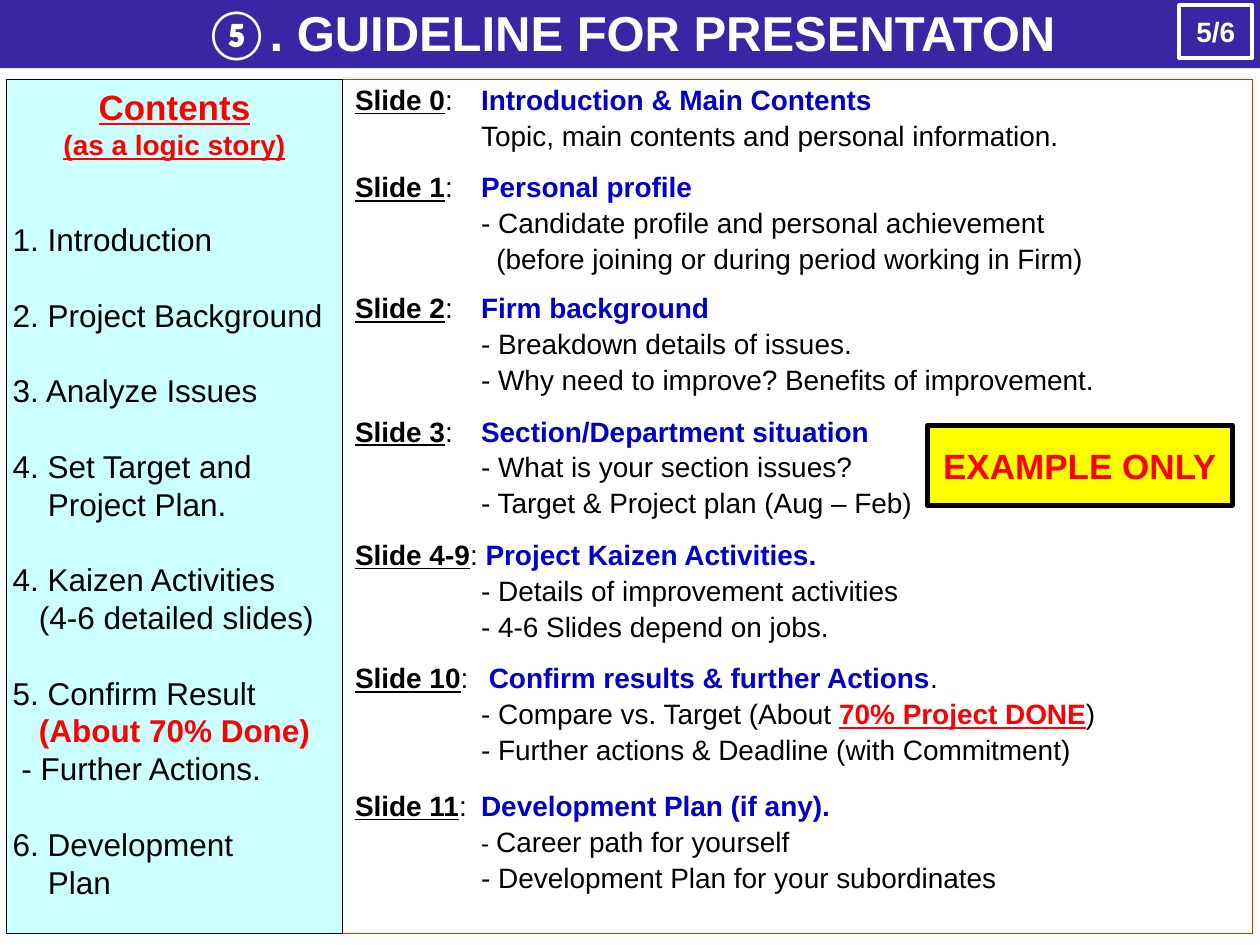
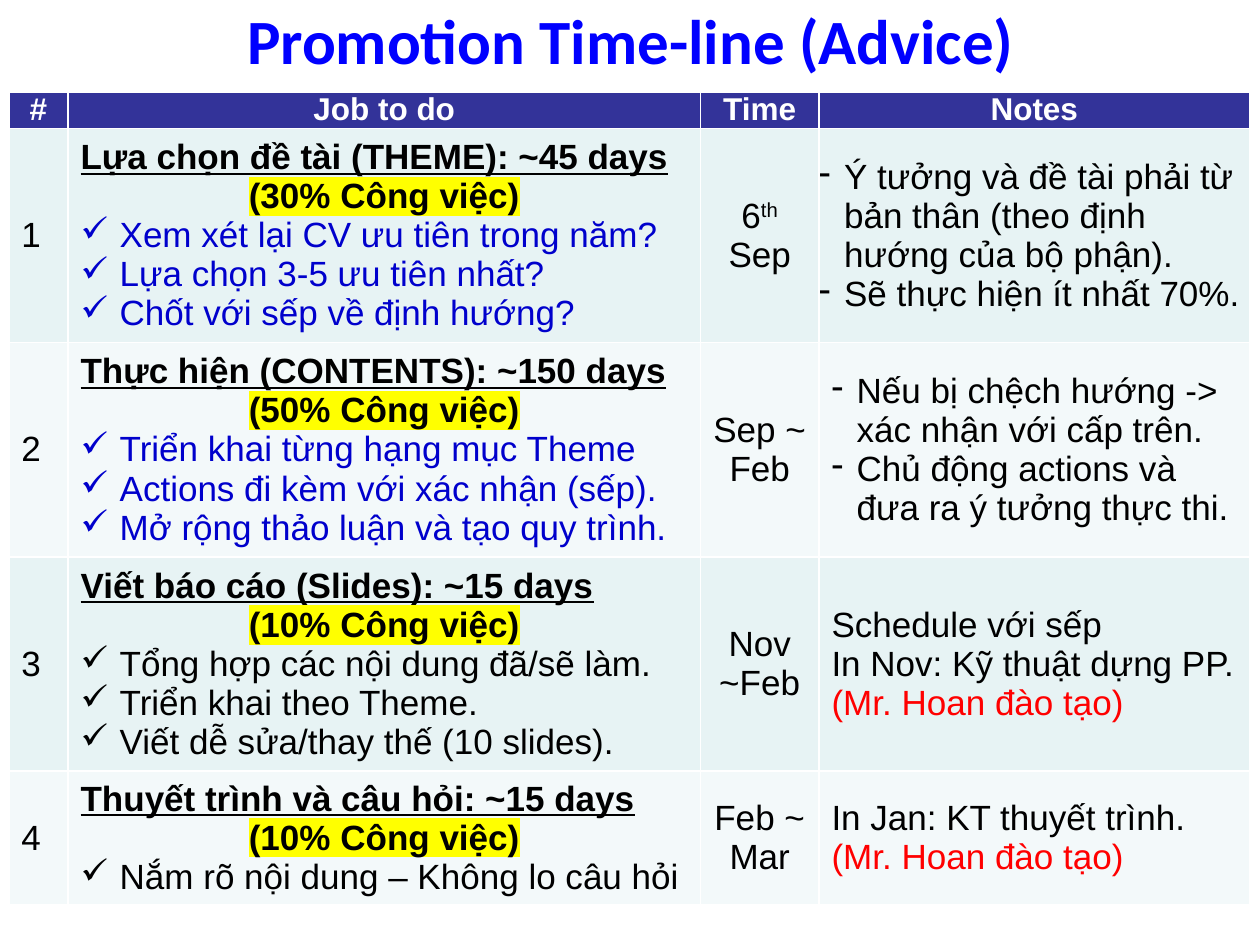
from dataclasses import dataclass
from lxml import etree
from pptx import Presentation
from pptx.dml.color import RGBColor
from pptx.enum.shapes import MSO_SHAPE
from pptx.enum.text import MSO_ANCHOR, MSO_AUTO_SIZE, PP_ALIGN
from pptx.oxml.ns import qn
from pptx.util import Inches, Pt

RECTANGLE = MSO_SHAPE.RECTANGLE
TOP, MIDDLE = MSO_ANCHOR.TOP, MSO_ANCHOR.MIDDLE
LEFT, CENTER = PP_ALIGN.LEFT, PP_ALIGN.CENTER
NO_FIT = MSO_AUTO_SIZE.NONE


@dataclass(frozen=True)
class Style:
    size: float
    color: str = "000000"
    bold: bool = False
    underline: bool = False
    font: str = "Arial"
    highlight: str = ""
    baseline: int = 0


class Theme:
    band, white, black = "3826A4", "FFFFFF", "000000"
    sidebar, frame, stamp = "CCFFFF", "CC3300", "FFFF00"
    header_row, rows = "333399", ("E7F3F4", "F3F9FA")
    line_factor = 1.2
    styles = {
        "band": Style(28, white, True),
        "band number": Style(28, white, True, font="Calibri"),
        "title": Style(36, "0000FF", True, font="Calibri"),
        "page": Style(16, white, True),
        "stamp": Style(20, "FF0000", True),
        "contents": Style(20, "FF0000", True, True),
        "contents note": Style(16, "FF0000", True, True),
        "item": Style(18),
        "item alert": Style(18, "FF0000", True),
        "label": Style(16, bold=True, underline=True),
        "topic": Style(16, "0000CC", True),
        "detail": Style(16),
        "dash": Style(14),
        "detail alert": Style(16, "FF0000", True, True),
        "column": Style(18, white, True),
        "cell": Style(20),
        "superscript": Style(20, baseline=30000),
        "task": Style(20, bold=True, underline=True),
        "share": Style(20, bold=True, highlight="FFFF00"),
        "blue": Style(20, "0000CC"),
        "red": Style(20, "FF0000"),
    }


SIDEBAR_HEADING = [("Contents", "contents"), ("(as a logic story)", "contents note")]
SIDEBAR_ITEMS = [
    [("1. Introduction", "item", 0)],
    [("2. Project Background", "item", 0)],
    [("3. Analyze Issues", "item", 0)],
    [("4. Set Target and", "item", 0), ("Project Plan.", "item", 0.28)],
    [("4. Kaizen Activities", "item", 0), ("(4-6 detailed slides)", "item", 0.21)],
    [("5. Confirm Result", "item", 0), ("(About 70% Done)", "item alert", 0.21),
     ("- Further Actions.", "item", 0.07)],
    [("6. Development", "item", 0), ("Plan", "item", 0.28)],
]

GUIDE = [
    (0, "Slide 0", ":\t", "Introduction & Main Contents", "",
     ["Topic, main contents and personal information."]),
    (12.2, "Slide 1", ":\t", "Personal profile", "",
     ["- Candidate profile and personal achievement",
      "(before joining or during period working in Firm)"]),
    (10.9, "Slide 2", ":\t", "Firm background", "",
     ["- Breakdown details of issues.",
      "- Why need to improve? Benefits of improvement."]),
    (12.2, "Slide 3", ":\t", "Section/Department situation", "",
     ["- What is your section issues?", "- Target & Project plan (Aug – Feb)"]),
    (12.2, "Slide 4-9", ": ", "Project Kaizen Activities.", "",
     ["- Details of improvement activities", "- 4-6 Slides depend on jobs."]),
    (12.2, "Slide 10", ":\t ", "Confirm results & further Actions", ".",
     [[("- Compare vs. Target (About ", "detail"),
       ("70% Project DONE", "detail alert"), (")", "detail")],
      "- Further actions & Deadline (with Commitment)"]),
    (14.7, "Slide 11", ":\t", "Development Plan (if any).", "",
     [[("- ", "dash"), ("Career path for yourself", "detail")],
      "- Development Plan for your subordinates"]),
]

COLUMNS = [("#", 0.47), ("Job to do", 5.02), ("Time", 0.94), ("Notes", 3.42)]
ROW_HEIGHTS = [0.29, 1.7, 1.7, 1.7, 1.06]
TRAINER = ("(Mr. Hoan đào tạo)", "red")
JOBS = [
    {"task": "Lựa chọn đề tài (THEME): ~45 days", "share": "(30% Công việc)",
     "style": "blue",
     "steps": ["Xem xét lại CV ưu tiên trong năm?", "Lựa chọn 3-5 ưu tiên nhất?",
               "Chốt với sếp về định hướng?"],
     "time": [("6", "cell"), ("th", "superscript"), (" Sep", "cell")],
     "bullet": "-", "flush": True,
     "notes": [("Ý tưởng và đề tài phải từ bản thân (theo định hướng của bộ phận).", "cell"),
               ("Sẽ thực hiện ít nhất 70%.", "cell")]},
    {"task": "Thực hiện (CONTENTS): ~150 days", "share": "(50% Công việc)",
     "style": "blue",
     "steps": ["Triển khai từng hạng mục Theme", "Actions đi kèm với xác nhận (sếp).",
               "Mở rộng thảo luận và tạo quy trình."],
     "time": [("Sep ~ Feb", "cell")], "bullet": "-", "flush": False,
     "notes": [("Nếu bị chệch hướng -> xác nhận với cấp trên.", "cell"),
               ("Chủ động actions và đưa ra ý tưởng thực thi.", "cell")]},
    {"task": "Viết báo cáo (Slides): ~15 days", "share": "(10% Công việc)",
     "style": "cell",
     "steps": ["Tổng hợp các nội dung đã/sẽ làm.", "Triển khai theo Theme.",
               "Viết dễ sửa/thay thế (10 slides)."],
     "time": [("Nov ~Feb", "cell")], "bullet": "", "flush": False,
     "notes": [("Schedule với sếp", "cell"), ("In Nov: Kỹ thuật dựng PP.", "cell"), TRAINER]},
    {"task": "Thuyết trình và câu hỏi: ~15 days", "share": "(10% Công việc)",
     "style": "cell", "steps": ["Nắm rõ nội dung – Không lo câu hỏi"],
     "time": [("Feb ~ Mar", "cell")], "bullet": "", "flush": False,
     "notes": [("In Jan: KT thuyết trình.", "cell"), TRAINER]},
]


def rgb(color):
    return RGBColor.from_string(color)


def paint(target, color):
    target.fill.solid()
    target.fill.fore_color.rgb = rgb(color)


def add_span(para, text, name):
    style = Theme.styles[name]
    span = para.add_run()
    span.text = text
    font = span.font
    font.size, font.name = Pt(style.size), style.font
    font.bold, font.underline = style.bold, style.underline
    font.color.rgb = rgb(style.color)
    properties = font._element
    if style.highlight:
        highlight = etree.Element(qn("a:highlight"))
        etree.SubElement(highlight, qn("a:srgbClr")).set("val", style.highlight)
        properties.find(qn("a:solidFill")).addnext(highlight)
    if style.baseline:
        properties.set("baseline", str(style.baseline))


def add_para(frame, spans, align=LEFT, before=0, line=None, margin=0, bullet=""):
    para = frame.paragraphs[0]
    if para.runs:
        para = frame.add_paragraph()
    para.alignment = align
    para.space_before = Pt(before)
    if line:
        para.line_spacing = Pt(line)
    properties = para._p.get_or_add_pPr()
    properties.set("marL", str(Inches(margin)))
    properties.set("indent", str(-Inches(margin) if bullet else 0))
    if bullet:
        etree.SubElement(properties, qn("a:buChar")).set("char", bullet)
    for text, name in spans:
        add_span(para, text, name)


def set_margins(target, side, upright):
    target.margin_left = target.margin_right = Inches(side)
    target.margin_top = target.margin_bottom = Inches(upright)


def add_box(page, place, fill=None, line=None, weight=0.75, anchor=TOP, side=0.1, wrap=True):
    box = page.shapes.add_shape(RECTANGLE, *map(Inches, place))
    box.shadow.inherit = False
    if fill:
        paint(box, fill)
    else:
        box.fill.background()
    box.line.color.rgb = rgb(line)
    box.line.width = Pt(weight)
    frame = box.text_frame
    frame.word_wrap, frame.vertical_anchor = wrap, anchor
    set_margins(frame, side, 0.05)
    return frame


def add_page(deck, place, fill, spans):
    page = deck.slides.add_slide(deck.slide_layouts[5])
    title = page.shapes.title
    title.left, title.top, title.width, title.height = map(Inches, place)
    paint(title, fill)
    frame = title.text_frame
    frame.auto_size, frame.vertical_anchor = NO_FIT, MIDDLE
    set_margins(frame, 0.1, 0.05)
    add_para(frame, spans, CENTER)
    return page


def fill_sidebar(frame):
    def add_line(text, name, **layout):
        height = Theme.styles[name].size * Theme.line_factor
        add_para(frame, [(text, name)], line=height, **layout)

    for text, name in SIDEBAR_HEADING:
        add_line(text, name, align=CENTER)
    for number, lines in enumerate(SIDEBAR_ITEMS):
        for position, (text, name, margin) in enumerate(lines):
            gap = 0 if position else 21.6 if number else 33.6
            add_line(text, name, before=gap, margin=margin)


def fill_guide(frame):
    line = Theme.styles["detail"].size * Theme.line_factor * 0.9
    for gap, label, separator, topic, ending, details in GUIDE:
        spans = [(label, "label"), (separator, "detail"), (topic, "topic")]
        if ending:
            spans.append((ending, "detail"))
        add_para(frame, spans, before=gap, line=line)
        for detail in details:
            continued = detail[0] == "("
            spans = [(detail, "detail")] if isinstance(detail, str) else detail
            add_para(frame, spans, before=3.2, line=line, margin=1.12 if continued else 1)


def build_guideline(deck):
    page = add_page(deck, (0, -0.03, 10, 0.57), Theme.band,
                    [("⑤", "band number"), (". GUIDELINE FOR PRESENTATON", "band")])
    fill_guide(add_box(page, (2.72, 0.63, 7.22, 6.78), line=Theme.frame))
    fill_sidebar(add_box(page, (0.05, 0.63, 2.67, 6.78), Theme.sidebar, Theme.black, side=0.05))
    for text, name, place, fill, line, weight in [
        ("5/6", "page", (9.36, 0.04, 0.58, 0.42), Theme.band, Theme.white, 2.25),
        ("EXAMPLE ONLY", "stamp", (7.36, 3.38, 2.42, 0.63), Theme.stamp, Theme.black, 3),
    ]:
        frame = add_box(page, place, fill, line, weight, MIDDLE, wrap=False)
        add_para(frame, [(text, name)], CENTER)


def build_timeline(deck):
    page = add_page(deck, (0.01, 0, 9.99, 0.63), Theme.white,
                    [("Promotion Time-line (Advice)", "title")])
    widths = [width for _, width in COLUMNS]
    table = page.shapes.add_table(
        len(ROW_HEIGHTS), len(COLUMNS), Inches(0.07), Inches(0.73),
        Inches(sum(widths)), Inches(sum(ROW_HEIGHTS))).table
    for row, height in zip(table.rows, ROW_HEIGHTS):
        row.height = Inches(height)
    for index, (heading, width) in enumerate(COLUMNS):
        table.columns[index].width = Inches(width)
        cell = table.cell(0, index)
        paint(cell, Theme.header_row)
        set_margins(cell, 0, 0)
        add_para(cell.text_frame, [(heading, "column")], CENTER)
    for number, job in enumerate(JOBS, 1):
        cells = [table.cell(number, index) for index in range(len(COLUMNS))]
        for cell in cells:
            paint(cell, Theme.rows[(number - 1) % 2])
            cell.vertical_anchor = MIDDLE
        order, work, time, notes = [cell.text_frame for cell in cells]
        add_para(order, [(str(number), "cell")])
        add_para(work, [(job["task"], "task")])
        add_para(work, [(job["share"], "share")], CENTER)
        for step in job["steps"]:
            add_para(work, [(step, job["style"])], margin=0.31, bullet="✓")
        add_para(time, job["time"], CENTER)
        if job["flush"]:
            set_margins(cells[-1], 0, 0)
        for note in job["notes"]:
            add_para(notes, [note], margin=0.2 if job["bullet"] else 0, bullet=job["bullet"])


def main():
    deck = Presentation()
    deck.slide_width, deck.slide_height = Inches(10), Inches(7.5)
    build_guideline(deck)
    build_timeline(deck)
    deck.save("out.pptx")


if __name__ == "__main__":
    main()
